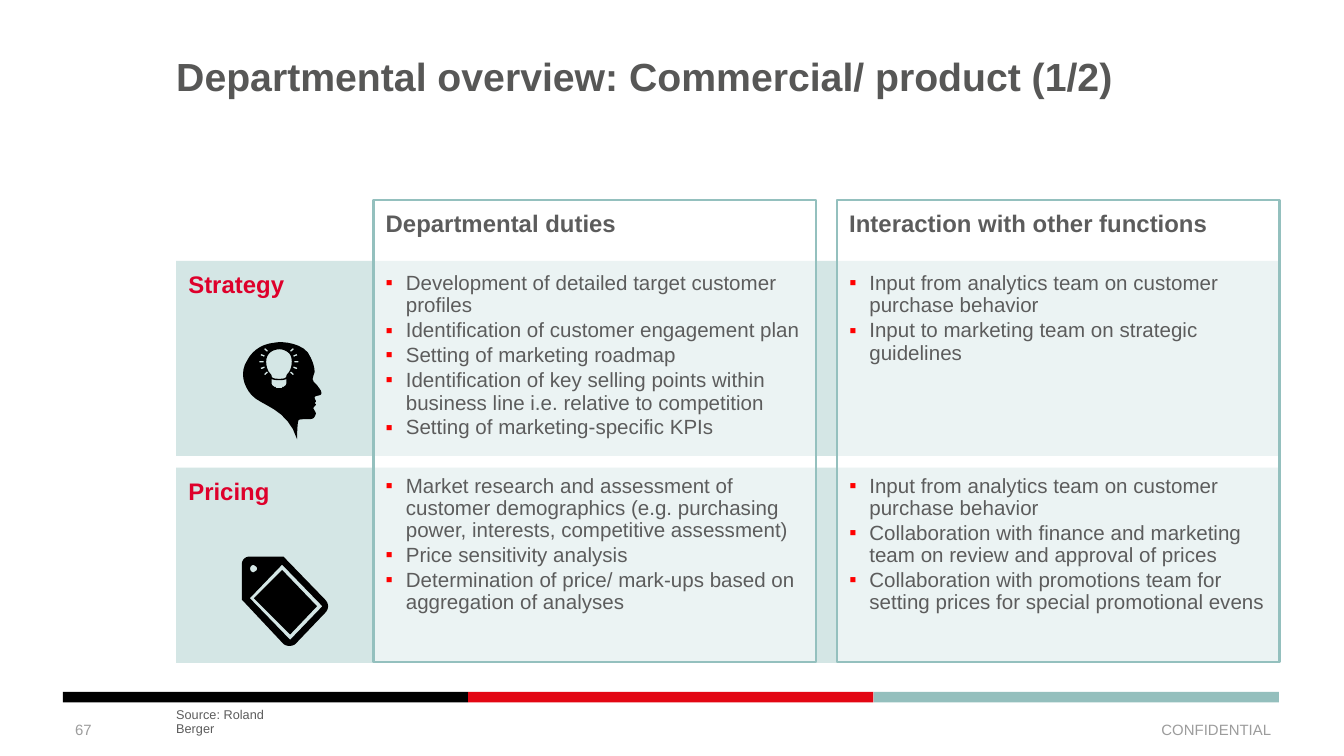
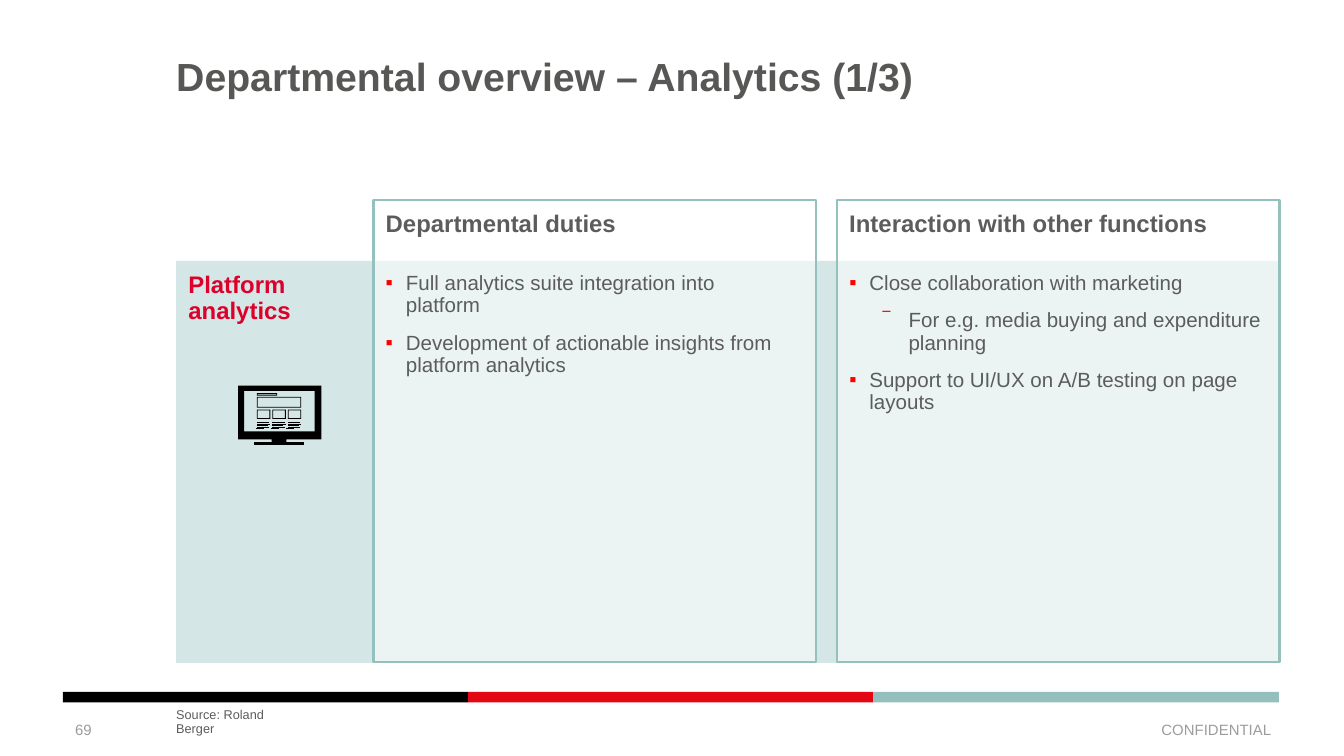
from math import cos, radians, sin

from lxml import etree
from pptx import Presentation
from pptx.dml.color import RGBColor
from pptx.enum.shapes import MSO_SHAPE
from pptx.enum.text import MSO_ANCHOR, MSO_AUTO_SIZE, PP_ALIGN
from pptx.oxml.ns import qn
from pptx.util import Cm, Pt

RECTANGLE = MSO_SHAPE.RECTANGLE
TOP, MIDDLE, BOTTOM = MSO_ANCHOR.TOP, MSO_ANCHOR.MIDDLE, MSO_ANCHOR.BOTTOM
LEFT, RIGHT = PP_ALIGN.LEFT, PP_ALIGN.RIGHT
NO_AUTOFIT = MSO_AUTO_SIZE.NONE

BLACK = RGBColor(0x00, 0x00, 0x00)
WHITE = RGBColor(0xFF, 0xFF, 0xFF)
RED = RGBColor(0xE3, 0x06, 0x13)
TEAL = RGBColor(0x94, 0xBF, 0xBD)
FRAME_TEAL = RGBColor(0x94, 0xC0, 0xBE)
PALE_TEAL = RGBColor(0xD4, 0xE6, 0xE5)
TITLE_GREY = RGBColor(0x57, 0x57, 0x56)
TEXT_GREY = RGBColor(0x5C, 0x5C, 0x5C)
FOOTER_GREY = RGBColor(0x9C, 0x9C, 0x9C)
LABEL_RED = RGBColor(0xDE, 0x00, 0x2B)
BULLET_RED = RGBColor(0xFF, 0x00, 0x00)

FONT = "Arial"
INSET = 0.23
LINE_SPACING = 0.9
TWO_CONTENT, COMPARISON = 3, 4  # layouts with two and four body placeholders

# Lengths in centimetres
COLUMN_LEFTS = (7.06, 15.82)
COLUMN_TOP, COLUMN_WIDTH, COLUMN_HEIGHT = 3.78, 8.36, 8.74
COLUMN_HEADINGS = ("Departmental duties", "Interaction with other functions")
ROW_LEFT, ROW_TOP, ROW_WIDTH = 3.33, 4.93, 20.85
ROWS_HEIGHT, ROW_GAP = 7.6, 0.22
BAND_LEFT, BAND_WIDTH = 1.19, 7.66

# Icon outlines, in hundredths of an inch: a pair is a point,
# six numbers are a Bézier curve that starts at the point before.
ICON_UNIT = Cm(2.54) / 100
HEAD = [
    (60, 39), (60, 37, 60, 37, 57, 33), (54, 30, 54, 30, 54, 29),
    (53, 29, 54, 26, 55, 23), (55, 20, 54, 16, 52, 12), (48, 1, 30, 0, 26, 1),
    (13, 2, 7, 10, 5, 14), (-1, 23, 2, 33, 8, 40), (15, 48, 35, 50, 42, 73),
    (42, 71, 42, 61, 43, 59), (43, 58, 46, 58, 51, 58), (55, 58, 55, 56, 56, 54),
    (56, 53, 54, 50, 54, 50), (54, 49, 56, 48, 56, 47), (55, 46), (56, 45),
    (56, 44, 55, 43, 55, 42), (55, 40, 60, 41, 60, 39),
]
BULB = [
    (34, 26), (34, 28, 30, 28, 29, 28), (27, 28, 23, 28, 23, 26),
    (23, 25, 22, 24, 21, 23), (20, 21, 19, 19, 19, 15), (19, 9, 24, 6, 29, 6),
    (31, 6, 34, 7, 36, 9), (37, 10, 38, 12, 38, 15), (38, 19, 37, 21, 36, 23),
    (35, 24, 34, 25, 34, 26),
]
BULB_BASE = [
    (34, 31), (34, 33, 33, 33, 32, 34), (31, 34), (31, 35, 30, 35, 29, 35),
    (28, 35), (27, 35, 26, 35, 26, 34), (25, 34), (24, 33, 23, 33, 23, 31),
    (23, 28), (24, 29, 27, 29, 29, 29), (30, 29, 33, 29, 34, 28),
]
TAG = [
    [(62, 32), (65, 35, 65, 39, 62, 42), (40, 65), (38, 67, 33, 67, 31, 65),
     (0, 32), (0, 6), (0, 3, 2, 0, 6, 0), (31, 0)],
    [(60, 37), (30, 6), (6, 31), (36, 62)],
    [(56, 37), (36, 58), (9, 31), (30, 10)],
    [(10, 7), (9, 6, 8, 6, 7, 7), (6, 8, 6, 10, 7, 11),
     (8, 12, 9, 12, 10, 11), (12, 10, 12, 8, 10, 7)],
]
MONITOR = [(0, 0), (62, 0), (62, 40), (36, 40), (36, 42), (49, 42), (49, 44),
           (12, 44), (12, 42), (25, 42), (25, 40), (0, 40)]


def rectangle(left, top, width, height):
    right, bottom = left + width, top + height
    return [(left, top), (right, top), (right, bottom), (left, bottom)]


def frame(left, top, width, height, border=0.6):
    """Outer and inner outline of a hollow rectangle."""
    return [rectangle(left, top, width, height),
            rectangle(left + border, top + border,
                      width - 2 * border, height - 2 * border)]


def ray(angle):
    """A short stroke pointing away from the bulb."""
    along = cos(radians(angle)), sin(radians(angle))
    return [(28.5 + along[0] * radius - along[1] * side,
             15.2 + along[1] * radius + along[0] * side)
            for radius, side in ((11.5, -0.6), (14.5, -0.6), (14.5, 0.6), (11.5, 0.6))]


def flatten(outline, steps=8):
    """Turn the curves of an outline into short lines."""
    points = []
    for part in outline:
        if len(part) == 2:
            points.append(part)
            continue
        start = points[-1]
        for step in range(1, steps + 1):
            t = step / steps
            u = 1 - t
            points.append(tuple(
                u ** 3 * start[axis] + 3 * u * u * t * part[axis]
                + 3 * u * t * t * part[axis + 2] + t ** 3 * part[axis + 4]
                for axis in (0, 1)))
    return points


class OverviewDeck:
    def __init__(self):
        self.deck = Presentation()
        self.deck.slide_width, self.deck.slide_height = Cm(25.4), Cm(14.29)
        self.page = None

    def add_page(self, layout, title, number):
        self.page = self.deck.slides.add_slide(self.deck.slide_layouts[layout])
        for index, color in enumerate((BLACK, RED, TEAL)):
            self.add_rectangle(BAND_LEFT + index * BAND_WIDTH, 13.08, BAND_WIDTH, 0.2, color)
        self.add_text("CONFIDENTIAL", 18.36, 13.41, 5.92, 0.76, align=RIGHT)
        self.add_text(number, 1.17, 13.41, 2.16, 0.76)
        self.add_text("Source: Roland Berger", 3.33, 13.67, 2.21, 0.25, 6.8, TEXT_GREY,
                      anchor=BOTTOM, margins=(0, 0, 0, 0), spacing=LINE_SPACING)
        box = self.page.shapes.title
        self.place(box, 3.33, 1.09, 20.55, 2.39)
        self.prepare(box.text_frame, TOP, (0, 0, 0, 0))
        self.add_spans(box.text_frame.paragraphs[0], title, 21, TITLE_GREY, True, LINE_SPACING)

    @staticmethod
    def place(box, left, top, width, height):
        box.left, box.top, box.width, box.height = Cm(left), Cm(top), Cm(width), Cm(height)

    @staticmethod
    def prepare(text_frame, anchor, margins):
        text_frame.word_wrap = True
        text_frame.auto_size = NO_AUTOFIT
        text_frame.vertical_anchor = anchor
        (text_frame.margin_left, text_frame.margin_top,
         text_frame.margin_right, text_frame.margin_bottom) = map(Cm, margins)

    @staticmethod
    def add_spans(para, text, size, color, bold=False, spacing=None, align=LEFT):
        para.alignment = align
        para.line_spacing = spacing
        for index, line in enumerate(text.split("\n")):
            if index:
                para.add_line_break()
            span = para.add_run()
            span.text = line
            span.font.name, span.font.size = FONT, Pt(size)
            span.font.bold, span.font.color.rgb = bold, color

    def add_text(self, text, left, top, width, height, size=8, color=FOOTER_GREY,
                 align=LEFT, anchor=MIDDLE, margins=(0.25, 0.13, 0.25, 0.13), spacing=None):
        box = self.page.shapes.add_textbox(Cm(left), Cm(top), Cm(width), Cm(height))
        self.prepare(box.text_frame, anchor, margins)
        self.add_spans(box.text_frame.paragraphs[0], text, size, color, False, spacing, align)

    def add_rectangle(self, left, top, width, height, color):
        box = self.page.shapes.add_shape(RECTANGLE, Cm(left), Cm(top), Cm(width), Cm(height))
        box.shadow.inherit = False
        box.fill.solid()
        box.fill.fore_color.rgb = color
        box.line.fill.background()
        return box

    def add_heading(self, box, text, color, bottom=0):
        self.prepare(box.text_frame, TOP, (INSET, INSET, 0, bottom))
        self.add_spans(box.text_frame.paragraphs[0], text, 12.8, color, True, LINE_SPACING)

    def add_grid(self, labels):
        """Draw the labelled rows, then the two translucent columns over them."""
        height = (ROWS_HEIGHT - ROW_GAP * (len(labels) - 1)) / len(labels)
        for index, label in enumerate(labels):
            top = ROW_TOP + index * (height + ROW_GAP)
            row = self.add_rectangle(ROW_LEFT, top, ROW_WIDTH, height, PALE_TEAL)
            self.add_heading(row, label, LABEL_RED)
        for left, heading in zip(COLUMN_LEFTS, COLUMN_HEADINGS):
            column = self.add_rectangle(left, COLUMN_TOP, COLUMN_WIDTH, COLUMN_HEIGHT, WHITE)
            color = column.element.spPr.find(qn("a:solidFill")).find(qn("a:srgbClr"))
            etree.SubElement(color, qn("a:alpha"), val="55000")
            column.line.color.rgb, column.line.width = FRAME_TEAL, Pt(1.25)
            self.add_heading(column, heading, TEXT_GREY, 0.15)

    @staticmethod
    def add_bullet(para, symbol, margin, hanging):
        properties = para._p.get_or_add_pPr()
        properties.set("marL", str(Cm(margin)))
        properties.set("indent", str(-Cm(hanging)))
        color = etree.SubElement(properties, qn("a:buClr"))
        etree.SubElement(color, qn("a:srgbClr"), val=str(BULLET_RED))
        etree.SubElement(properties, qn("a:buFont"), typeface=FONT)
        etree.SubElement(properties, qn("a:buChar"), char=symbol)

    def add_list(self, placeholder, column, top, height, items,
                 width=COLUMN_WIDTH, before=1.5, after=0):
        """Fill a body placeholder; an item that starts with a tab is a sub-item."""
        box = self.page.placeholders[placeholder]
        self.place(box, COLUMN_LEFTS[column], top, width, height)
        box.element.getparent().append(box.element)  # in front of the columns
        text_frame = box.text_frame
        self.prepare(text_frame, TOP, (INSET, INSET, 0, 0))
        for index, item in enumerate(items):
            para = text_frame.add_paragraph() if index else text_frame.paragraphs[0]
            para.level = 1
            if item.startswith("\t"):
                self.add_bullet(para, "‾", 1.12, 0.48)
            else:
                self.add_bullet(para, "▪", 0.38, 0.38)
            para.space_before = Pt(before if index else 0)
            para.space_after = Pt(after)
            self.add_spans(para, item.strip(), 11, TEXT_GREY, False, LINE_SPACING)

    def add_icon(self, left, top, outlines):
        builder = None
        for outline in outlines:
            points = [(Cm(left) + x * ICON_UNIT, Cm(top) + y * ICON_UNIT)
                      for x, y in flatten(outline)]
            if builder is None:
                builder = self.page.shapes.build_freeform(*points[0], scale=1.0)
            else:
                builder.move_to(*points[0])
            builder.add_line_segments(points[1:], close=True)
        icon = builder.convert_to_shape()
        icon.shadow.inherit = False
        icon.fill.solid()
        icon.fill.fore_color.rgb = BLACK
        icon.line.fill.background()


def add_commercial_page(deck):
    deck.add_page(COMPARISON, "Departmental overview: Commercial/ product (1/2)", "67")
    deck.add_grid(["Strategy", "Pricing"])
    deck.add_list(1, 0, ROW_TOP, 3.48, [
        "Development of detailed target customer profiles",
        "Identification of customer engagement plan",
        "Setting of marketing roadmap",
        "Identification of key selling points within business line i.e. relative to competition",
        "Setting of marketing-specific KPIs"])
    deck.add_list(2, 1, ROW_TOP, 2.49, [
        "Input from analytics team on customer purchase behavior",
        "Input to marketing team on strategic guidelines"])
    deck.add_list(3, 1, 8.76, 2.92, [
        "Input from analytics team on customer purchase behavior",
        "Collaboration with finance and marketing team on review and approval of prices",
        "Collaboration with promotions team for setting prices for special promotional evens"])
    deck.add_list(4, 0, 8.76, 2.92, [
        "Market research and assessment of customer demographics "
        "(e.g. purchasing power, interests, competitive assessment)",
        "Price sensitivity analysis",
        "Determination of price/ mark-ups based on aggregation of analyses"])
    rays = [ray(side + angle) for side in (0, 180) for angle in range(-42, 43, 21)]
    deck.add_icon(4.55, 6.45, [HEAD, BULB, BULB_BASE] + rays)
    deck.add_icon(4.57, 10.52, TAG)


def add_analytics_page(deck):
    deck.add_page(TWO_CONTENT, "Departmental overview – Analytics (1/3)", "69")
    deck.add_grid(["Platform \nanalytics"])
    deck.add_list(1, 0, ROW_TOP, 2.21, [
        "Full analytics suite integration into platform",
        "Development of actionable insights from platform analytics"],
        width=7.77, before=6, after=2)
    deck.add_list(2, 1, ROW_TOP, 2.92, [
        "Close collaboration with marketing",
        "\tFor e.g. media buying and expenditure planning",
        "Support to UI/UX on A/B testing on page layouts"],
        before=6, after=2)
    icon_left, icon_top = 4.5, 7.29
    deck.add_icon(icon_left, icon_top, [MONITOR, rectangle(4.5, 4, 52.5, 30)])
    deck.add_icon(icon_left, icon_top, frame(14, 5.6, 15, 1.8))
    deck.add_icon(icon_left, icon_top, frame(14, 8.4, 33, 8))
    text_lines = ((0, 27, 9), (0, 28.2, 10), (0, 29.4, 8), (0, 30.6, 9), (-1, 31.8, 6))
    for column in range(3):
        left = 14 + 11.5 * column
        deck.add_icon(icon_left, icon_top, frame(left, 17.8, 10, 7))
        for shift, top, width in text_lines:
            deck.add_icon(icon_left, icon_top, [rectangle(left + shift, top, width, 0.6)])


def main():
    overview = OverviewDeck()
    add_commercial_page(overview)
    add_analytics_page(overview)
    overview.deck.save("out.pptx")


if __name__ == "__main__":
    main()
